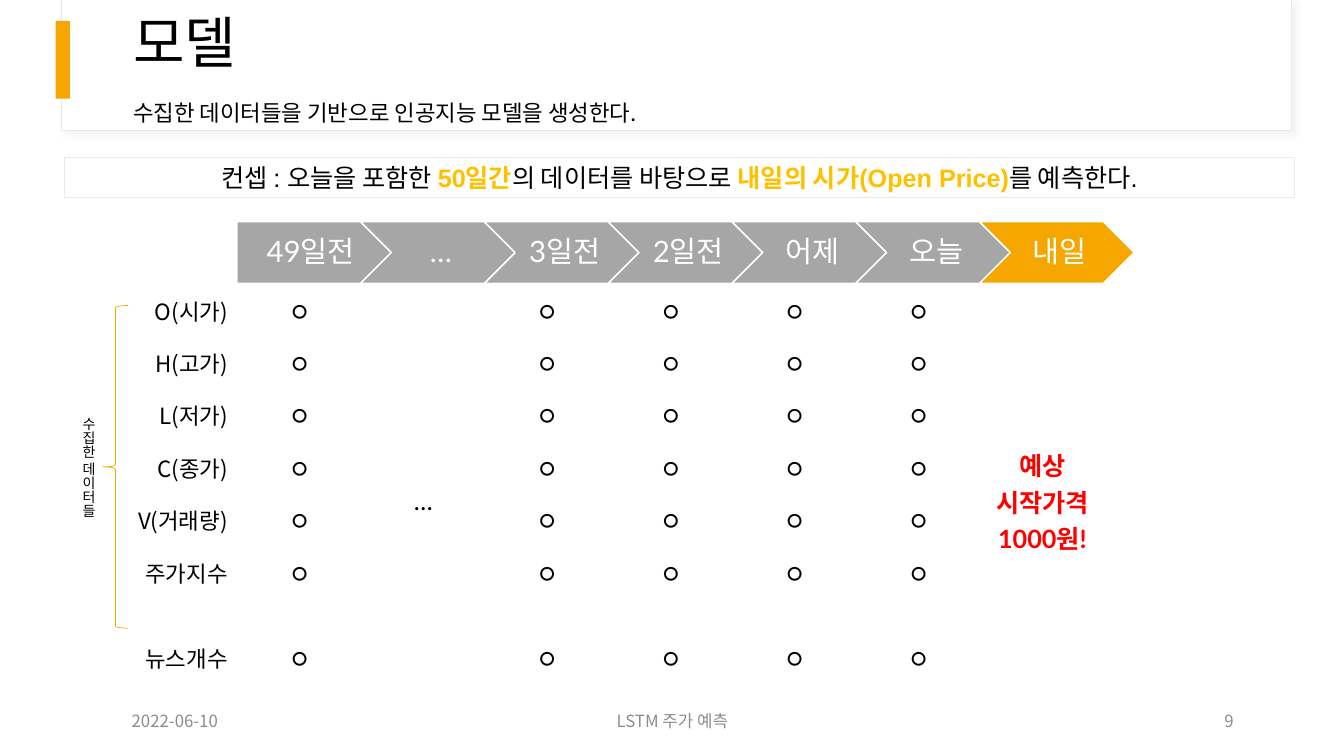
import pptx
import pptx.util
import pptx.dml.color
import pptx.enum.shapes
import pptx.enum.text
import pptx.oxml
import pptx.oxml.ns

Cm, Pt = pptx.util.Cm, pptx.util.Pt
RGBColor = pptx.dml.color.RGBColor
Shape = pptx.enum.shapes.MSO_SHAPE
Align = pptx.enum.text.PP_ALIGN
Anchor = pptx.enum.text.MSO_ANCHOR

BLACK = RGBColor(0x00, 0x00, 0x00)
WHITE = RGBColor(0xFF, 0xFF, 0xFF)
ORANGE = RGBColor(0xF5, 0xA7, 0x00)
YELLOW = RGBColor(0xFF, 0xC0, 0x00)
RED = RGBColor(0xFF, 0x00, 0x00)
GRAY = RGBColor(0xA6, 0xA6, 0xA6)
PALE_GRAY = RGBColor(0xE9, 0xE9, 0xE9)
FOOTER_GRAY = RGBColor(0x8C, 0x8C, 0x8C)

KOREAN = "Noto Sans CJK KR"
LATO = "Lato"
SHADOW = (
    '<a:outerShdw %s blurRad="50800" dist="38100" dir="2700000" algn="tl" rotWithShape="0">'
    '<a:srgbClr val="D9D9D9"><a:alpha val="30000"/></a:srgbClr></a:outerShdw>'
    % pptx.oxml.ns.nsdecls("a")
)

DAYS = ["49일전", "…", "3일전", "2일전", "어제", "오늘", "내일"]
FEATURES = ["O(시가)", "H(고가)", "L(저가)", "C(종가)", "V(거래량)", "주가지수", "뉴스개수"]
DAY_WIDTH = 3.12
ELLIPSIS_COLUMN, RESULT_COLUMN = 2, 7


def apply(target, values):
    for name, value in values.items():
        setattr(target, name, value)


class SlideBuilder:
    """Holds the text style and the slide being filled."""

    def __init__(self, slide):
        self.slide = slide
        self.style = {"name": KOREAN, "size": 16, "color": BLACK, "bold": False}

    def fill_frame(self, frame, paragraphs, align=Align.LEFT, spacing=1.0, margins=None,
                   anchor=Anchor.MIDDLE, wrap=True, **font):
        """Set up a frame; margins are left, top, right, bottom in centimetres."""
        apply(frame, {"word_wrap": wrap, "vertical_anchor": anchor})
        if margins:
            sides = ("margin_left", "margin_top", "margin_right", "margin_bottom")
            apply(frame, dict(zip(sides, map(Cm, margins))))
        self.add_paragraphs(frame, paragraphs, align, spacing, **font)

    def add_paragraphs(self, frame, paragraphs, align, spacing=1.0, **font):
        """Take plain lines, or paragraphs as lists of (text, font changes) runs."""
        if isinstance(paragraphs, str):
            paragraphs = [[(line, {})] for line in paragraphs.split("\n")]
        for index, runs in enumerate(paragraphs):
            paragraph = frame.add_paragraph() if index else frame.paragraphs[0]
            apply(paragraph, {"alignment": align, "line_spacing": spacing,
                              "space_before": Pt(0)})
            for text, changes in runs:
                run = paragraph.add_run()
                run.text = text
                self.format_font(run.font, {**self.style, **font, **changes})

    def format_font(self, font, style):
        apply(font, {"name": style["name"], "size": Pt(style["size"]), "bold": style["bold"]})
        font.color.rgb = style["color"]
        east_asian = pptx.oxml.parse_xml(
            '<a:ea %s typeface="%s"/>' % (pptx.oxml.ns.nsdecls("a"), KOREAN))
        font._element.find(pptx.oxml.ns.qn("a:latin")).addnext(east_asian)

    def placeholder(self, index, text, box, **options):
        """Move a template placeholder, bring it to the front and fill it."""
        shape = self.slide.placeholders[index]
        apply(shape, dict(zip(("left", "top", "width", "height"), map(Cm, box))))
        self.slide.shapes._spTree.append(shape._element)
        shape.text_frame.auto_size = pptx.enum.text.MSO_AUTO_SIZE.NONE
        properties = shape.text_frame.paragraphs[0]._p.get_or_add_pPr()
        properties.set("marL", "0")
        properties.set("indent", "0")
        properties.append(pptx.oxml.parse_xml("<a:buNone %s/>" % pptx.oxml.ns.nsdecls("a")))
        self.fill_frame(shape.text_frame, text, **options)

    def shape(self, kind, box, fill=None, line=None, line_width=0.75):
        shape = self.slide.shapes.add_shape(kind, *map(Cm, box))
        shape.shadow.inherit = False
        if fill is None:
            shape.fill.background()
        else:
            shape.fill.solid()
            shape.fill.fore_color.rgb = fill
        if line is None:
            shape.line.fill.background()
        else:
            shape.line.color.rgb = line
            shape.line.width = Pt(line_width)
        return shape

    def text(self, text, box, **options):
        shape = self.slide.shapes.add_textbox(*map(Cm, box))
        self.fill_frame(shape.text_frame, text, **options)
        return shape

    def table(self, rows, columns, left, top, column_width, row_height):
        frame = self.slide.shapes.add_table(
            rows, columns, Cm(left), Cm(top), Cm(column_width * columns), Cm(row_height * rows))
        table = frame.table
        apply(table, {"first_row": False, "horz_banding": False})
        for column in table.columns:
            column.width = Cm(column_width)
        for row in table.rows:
            row.height = Cm(row_height)
        for cell in table.iter_cells():
            cell.fill.background()
            cell.vertical_anchor = Anchor.MIDDLE
        return table

    def cell(self, cell, text, align=Align.CENTER, **font):
        self.add_paragraphs(cell.text_frame, text, align, **font)


def add_header(builder):
    panel = builder.shape(Shape.RECTANGLE, (1.55, 0, 31.01, 3.28), WHITE, PALE_GRAY)
    effects = panel._element.spPr.find(pptx.oxml.ns.qn("a:effectLst"))
    effects.append(pptx.oxml.parse_xml(SHADOW))
    builder.shape(Shape.RECTANGLE, (1.4, 0.53, 0.36, 1.96), ORANGE)
    builder.placeholder(0, "모델", (3.1, 0, 28.24, 2.31), size=40, spacing=0.9)
    builder.placeholder(1, "수집한 데이터들을 기반으로 인공지능 모델을 생성한다.",
                        (3.1, 2.31, 28.24, 0.97), spacing=1.1, anchor=Anchor.TOP)


def add_concept(builder):
    highlight = {"color": YELLOW, "bold": True}
    concept = builder.shape(Shape.RECTANGLE, (1.63, 3.96, 30.99, 1.02), line=PALE_GRAY)
    builder.fill_frame(concept.text_frame, [[
        ("컨셉 : 오늘을 포함한 ", {}), ("50일간", highlight),
        ("의 데이터를 바탕으로 ", {}), ("내일의 시가(Open Price)", highlight),
        ("를 예측한다.", {}),
    ]], align=Align.CENTER, name="Arial", size=18)


def add_timeline(builder):
    for index, day in enumerate(DAYS):
        kind = Shape.CHEVRON if index else Shape.PENTAGON
        fill = ORANGE if day == DAYS[-1] else GRAY
        arrow = builder.shape(kind, (5.97 + index * DAY_WIDTH, 5.59, 3.89, 1.55), fill, WHITE, 1)
        builder.fill_frame(arrow.text_frame, day, align=Align.CENTER, spacing=0.9, wrap=False,
                           margins=(0.23 if index else 0.3, 0.15, 0.08, 0.15),
                           name=LATO, size=21, color=WHITE)


def add_data_table(builder):
    table = builder.table(len(FEATURES), len(DAYS) + 1, 2.87, 7.16, DAY_WIDTH, 1.32)
    merged = {ELLIPSIS_COLUMN: ("…", {}),
              RESULT_COLUMN: ("예상\n시작가격 1000원!", {"color": RED, "bold": True})}
    for column, (text, font) in merged.items():
        top = table.cell(0, column)
        top.merge(table.cell(len(FEATURES) - 1, column))
        builder.cell(top, text, name=LATO, size=18, **font)
    for row, feature in enumerate(FEATURES):
        label = table.cell(row, 0)
        label.margin_left = Cm(0)
        builder.cell(label, feature, Align.RIGHT)
        for column in range(1, len(DAYS) + 1):
            if column not in merged:
                builder.cell(table.cell(row, column), "○", name=LATO, size=18)


def add_data_brace(builder):
    builder.shape(Shape.LEFT_BRACE, (2.59, 7.7, 0.64, 8.13), line=ORANGE, line_width=0.5)
    label = builder.text("수집한 데이터들", (1.63, 10.26, 0.94, 3), align=Align.RIGHT,
                         anchor=Anchor.TOP, wrap=False, name=LATO, size=10)
    label.text_frame._txBody.bodyPr.set("vert", "eaVert")


def add_footer(builder):
    for text, left, width, align in [
        ("2022-06-10", 3.07, 7.62, Align.LEFT),
        ("LSTM 주가 예측", 11.23, 11.43, Align.CENTER),
        ("9", 23.72, 7.62, Align.RIGHT),
    ]:
        builder.text(text, (left, 17.65, width, 1.02), align=align, size=12, color=FOOTER_GRAY)


def main():
    presentation = pptx.Presentation()
    apply(presentation, {"slide_width": Cm(33.87), "slide_height": Cm(19.05)})
    builder = SlideBuilder(presentation.slides.add_slide(presentation.slide_layouts[1]))
    add_header(builder)
    add_concept(builder)
    add_timeline(builder)
    add_data_table(builder)
    add_data_brace(builder)
    add_footer(builder)
    presentation.save("out.pptx")


if __name__ == "__main__":
    main()
